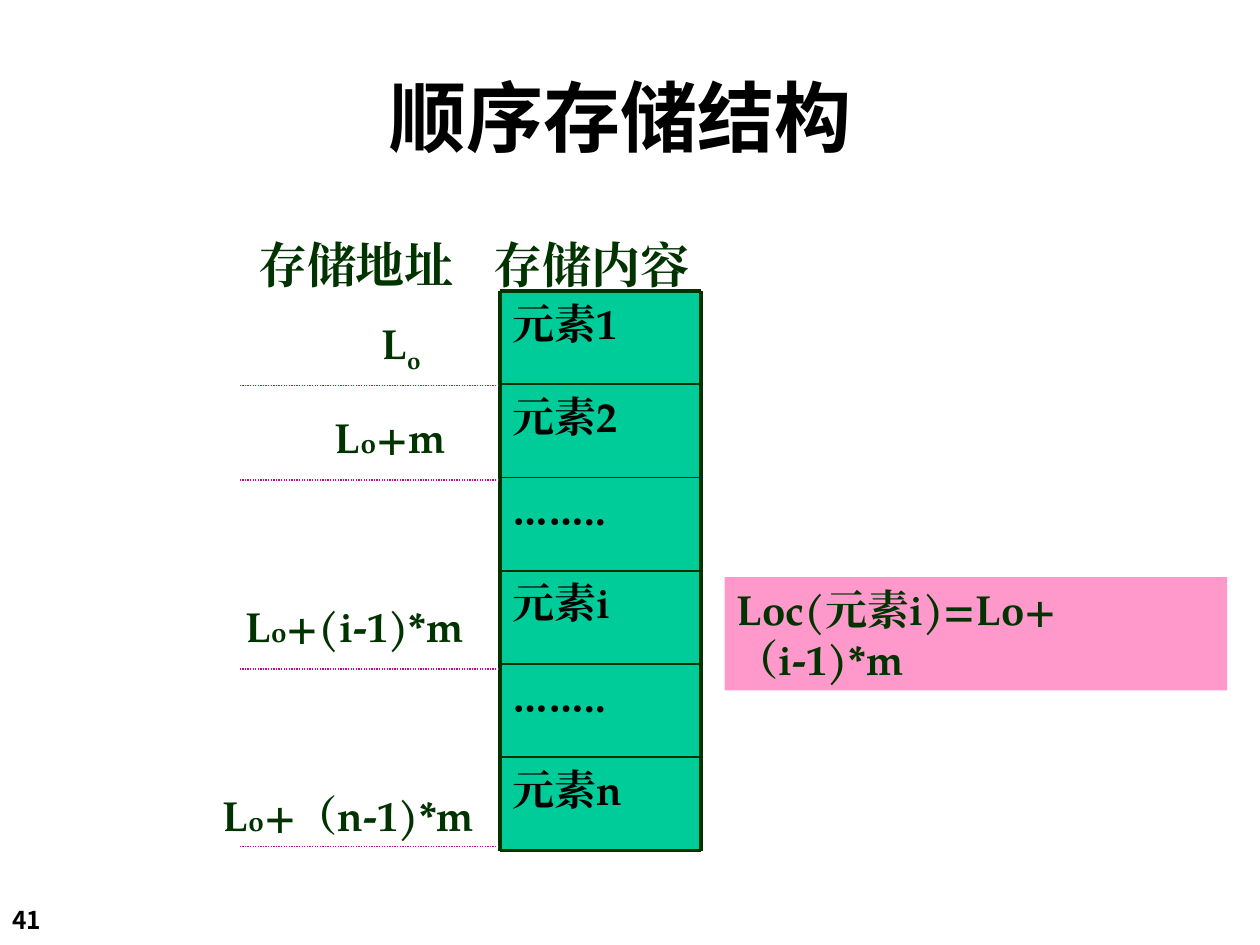
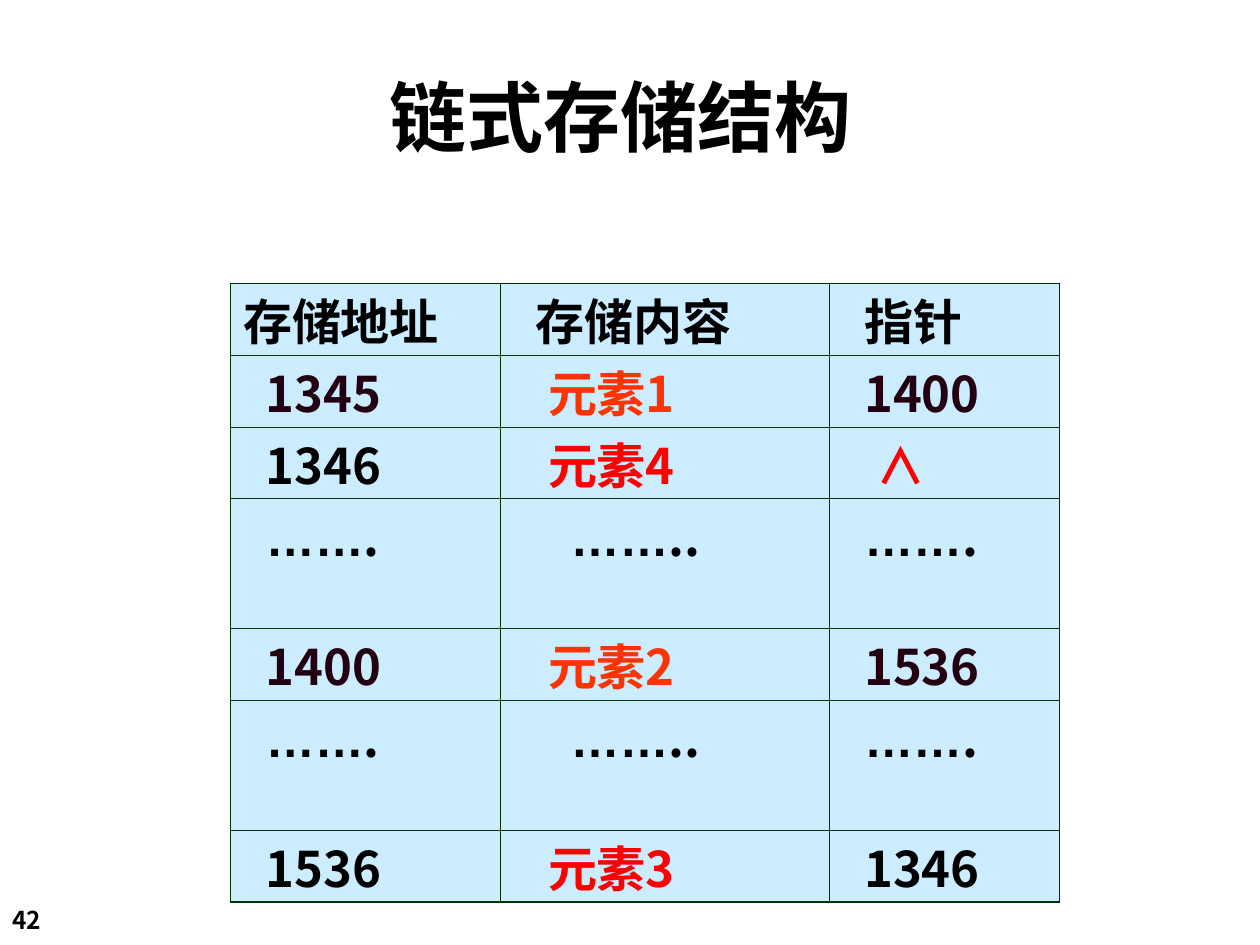
from lxml import etree
from pptx import Presentation
from pptx.dml.color import RGBColor
from pptx.enum.dml import MSO_LINE
from pptx.enum.shapes import MSO_CONNECTOR, MSO_SHAPE
from pptx.enum.text import MSO_ANCHOR, PP_ALIGN
from pptx.oxml.ns import qn
from pptx.util import Inches, Pt

RECT, STRAIGHT = MSO_SHAPE.RECTANGLE, MSO_CONNECTOR.STRAIGHT
DOTTED = MSO_LINE.ROUND_DOT
CENTER, MIDDLE, TOP = PP_ALIGN.CENTER, MSO_ANCHOR.MIDDLE, MSO_ANCHOR.TOP
SANS, SERIF, ARIAL = "Noto Sans CJK SC", "TeX Gyre Pagella", "Arial"
COLORS = {
    "ink": "000000", "green": "003300", "cell": "00CC99", "formula": "FF99CC",
    "guide": "D60093", "table": "CCECFF", "plum": "220011",
    "orange": "FF3300", "red": "FF0000",
}
TITLE = {"size": 44, "name": SANS, "color": "ink"}
NUMBER = {"size": 14, "name": SANS, "color": "ink"}
ELEMENT = {"size": 24, "name": SERIF, "color": "ink"}
ADDRESS = {"size": 24, "name": SERIF, "color": "green"}
HEADING = {"size": 28, "name": SERIF, "color": "green"}
TABLE_TEXT = {"size": 28, "name": SANS, "color": "ink"}


def rgb(name):
    return RGBColor.from_string(COLORS[name])


def add_run(paragraph, text, style, **changes):
    """Add a bold run; changes override single values of the style."""
    style = {**style, **changes}
    run = paragraph.add_run()
    run.text = text
    font_values = {"size": Pt(style["size"]), "name": style["name"], "bold": True}
    for attribute, value in font_values.items():
        setattr(run.font, attribute, value)
    run.font.color.rgb = rgb(style["color"])
    properties = run.font._element
    etree.SubElement(properties, qn("a:ea"), typeface=style["name"])
    if "baseline" in style:
        properties.set("baseline", str(style["baseline"]))


def fill_text(shape, runs, style, anchor=TOP, align=None):
    frame = shape.text_frame
    frame.word_wrap = True
    frame.vertical_anchor = anchor
    paragraph = frame.paragraphs[0]
    paragraph.alignment = align or PP_ALIGN.LEFT
    for text, changes in runs:
        add_run(paragraph, text, style, **changes)


def add_label(slide, box, runs, style, **layout):
    label = slide.shapes.add_textbox(*map(Inches, box))
    fill_text(label, runs, style, **layout)


def add_panel(slide, box, text, style, color):
    panel = slide.shapes.add_shape(RECT, *map(Inches, box))
    panel.shadow.inherit = False
    panel.fill.solid()
    panel.fill.fore_color.rgb = rgb(color)
    panel.line.fill.background()
    fill_text(panel, [(text, {})], style)


def add_line(slide, start, end, color, width, dash=None):
    line = slide.shapes.add_connector(STRAIGHT, *map(Inches, (*start, *end)))
    line.line.color.rgb = rgb(color)
    line.line.width = Pt(width)
    if dash:
        line.line.dash_style = dash
    etree.SubElement(line._element.spPr, qn("a:effectLst"))


def add_base(prs, title, number):
    """Blank slide with the shared title and slide number."""
    slide = prs.slides.add_slide(prs.slide_layouts[6])
    add_label(slide, (0, 7.13, 0.83, 0.34), [(number, {})], NUMBER)
    add_label(slide, (0.34, 0.42, 9.17, 1), [(title, {})], TITLE,
              anchor=MIDDLE, align=CENTER)
    return slide


def add_memory_column(slide, box, elements):
    left, top, width, height = box
    right, bottom = left + width, top + height
    step = height / len(elements)
    for index, element in enumerate(elements):
        add_panel(slide, (left, top + index * step, width, step),
                  element, ELEMENT, "cell")
    # Row rules, heavier at both ends
    for index in range(len(elements) + 1):
        y = top + index * step
        weight = 2.25 if index in (0, len(elements)) else 1
        add_line(slide, (left, y), (right, y), "green", weight)
    # Side rules
    for x in (left, right):
        add_line(slide, (x, top), (x, bottom), "green", 2.25)


def add_addresses(slide, box):
    left, top, width, _ = box
    small = ("o", {"size": 16})
    # Left, top and width of each label, its runs and its guide, from the box
    addresses = [
        (1.26, 0.16, 0.94, [("L", {}), ("o", {"baseline": -25000})], 0.75),
        (0.89, 0.91, 1.31, [("L", {}), small, ("+m", {})], 1.5),
        (0.18, 2.41, 2.39, [("L", {}), small, ("+(i-1)*m", {})], 3),
        (0, 3.91, 2.35, [("L", {}), small, ("+（n-1)*m", {})], 4.41),
    ]
    for x, y, label_width, runs, guide in addresses:
        add_label(slide, (left + x, top + y, label_width, 0.5), runs, ADDRESS)
        add_line(slide, (left + width, top + guide), (left + 0.23, top + guide),
                 "guide", 0.75, DOTTED)


def build_sequential(prs):
    slide = add_base(prs, "顺序存储结构", "41")
    add_memory_column(slide, (3.97, 2.31, 1.59, 4.44),
                      ["元素1", "元素2", "……..", "元素i", "……..", "元素n"])
    add_addresses(slide, (1.67, 2.31, 2.29, 4.44))
    # Column headings
    for text, left, width in (("存储地址", 1.95, 1.92), ("存储内容", 3.82, 1.78)):
        add_label(slide, (left, 1.81, width, 0.57), [(text, {})], HEADING)
    # Address formula
    add_panel(slide, (5.75, 4.58, 3.99, 0.9), "Loc(元素i)=Lo+（i-1)*m",
              ADDRESS, "formula")


def set_borders(cell, weights):
    """Put the side lines ahead of the fill, as the schema orders them."""
    properties = cell._tc.get_or_add_tcPr()
    for position, (side, weight) in enumerate(weights.items()):
        line = etree.Element(qn(f"a:ln{side}"), w=str(int(Pt(weight))))
        fill = etree.SubElement(line, qn("a:solidFill"))
        etree.SubElement(fill, qn("a:srgbClr"), val=COLORS["green"])
        properties.insert(position, line)


def fill_cell(cell, text, color, indent):
    margins = {
        "margin_left": Inches(0.1 + indent), "margin_right": Inches(0.05),
        "margin_top": Inches(0.15), "margin_bottom": 0, "vertical_anchor": TOP,
    }
    for attribute, value in margins.items():
        setattr(cell, attribute, value)
    cell.fill.solid()
    cell.fill.fore_color.rgb = rgb("table")
    paragraph = cell.text_frame.paragraphs[0]
    paragraph.line_spacing = Pt(30)
    ellipsis = "……" if text.startswith("…") else ""
    if ellipsis:
        add_run(paragraph, ellipsis, TABLE_TEXT, name=ARIAL)
    add_run(paragraph, text[len(ellipsis):], TABLE_TEXT, color=color)


def add_link_table(slide, box, widths, records):
    heights = [1.03 if record[0][0].startswith("…") else 0.57
               for record in records]
    frame = slide.shapes.add_table(len(records), len(widths), *map(Inches, box))
    table = frame.table
    table.first_row = table.horz_banding = False
    for column, width in zip(table.columns, widths):
        column.width = Inches(width)
    for row, height in zip(table.rows, heights):
        row.height = Inches(height)
    last_row, last_column = len(records) - 1, len(widths) - 1
    for r, record in enumerate(records):
        for c, (text, color, indent) in enumerate(record):
            cell = table.cell(r, c)
            fill_cell(cell, text, color, indent)
            outer = {"L": c == 0, "R": c == last_column,
                     "T": r == 0, "B": r == last_row}
            set_borders(cell, {side: 1.08 if edge else 0.45
                               for side, edge in outer.items()})


def build_linked(prs):
    slide = add_base(prs, "链式存储结构", "42")
    near, middle, far = 0.18, 0.28, 0.46
    gap = [("…….", "ink", near), ("……..", "ink", far), ("…….", "ink", near)]

    def node(address, element, pointer, number_color, element_color):
        return [(address, number_color, near), (element, element_color, middle),
                (pointer, number_color, near)]

    records = [
        [("存储地址", "ink", 0), ("存储内容", "ink", near), ("指针", "ink", near)],
        node("1345", "元素1", "1400", "plum", "orange"),
        [("1346", "ink", near), ("元素4", "red", middle), ("∧", "red", middle)],
        gap,
        node("1400", "元素2", "1536", "plum", "orange"),
        gap,
        node("1536", "元素3", "1346", "ink", "red"),
    ]
    add_link_table(slide, (1.83, 2.25, 6.58, 4.91), (2.14, 2.61, 1.83), records)


def main():
    prs = Presentation()
    prs.slide_width, prs.slide_height = Inches(10), Inches(7.5)
    build_sequential(prs)
    build_linked(prs)
    prs.save("out.pptx")


if __name__ == "__main__":
    main()
